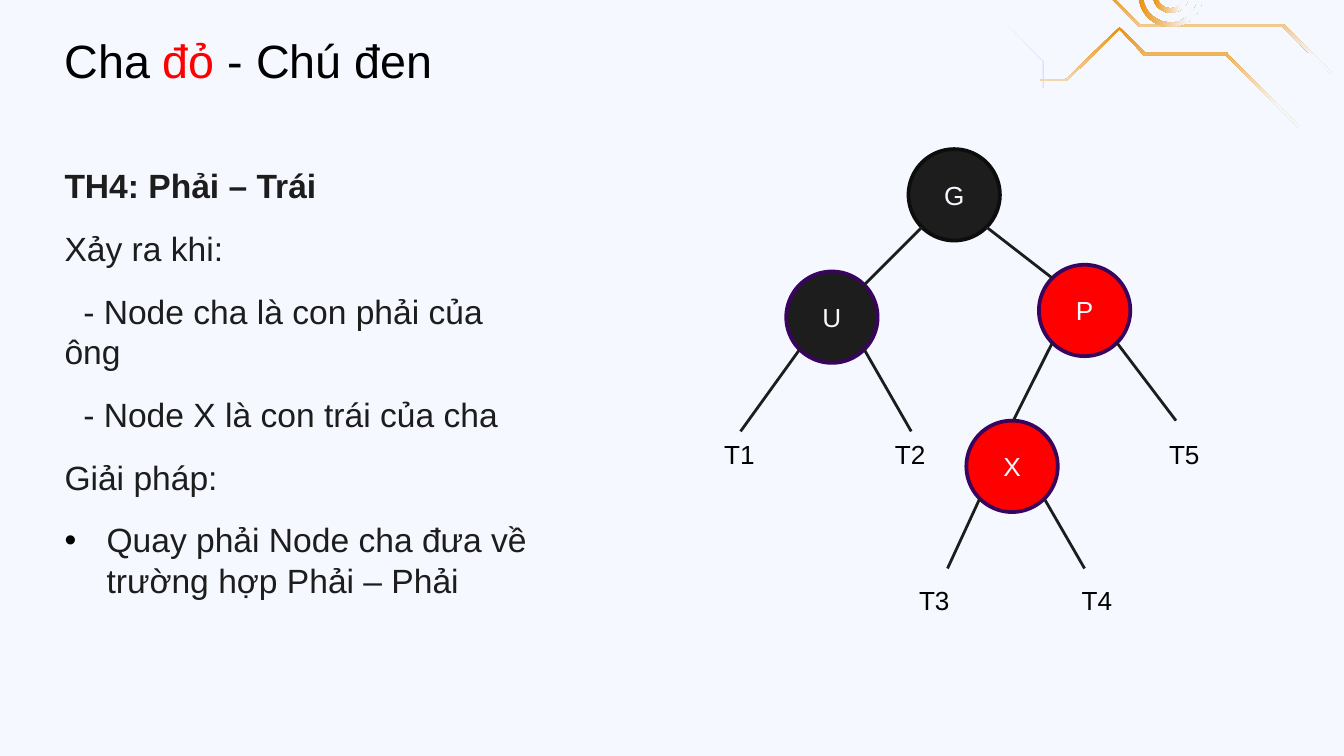
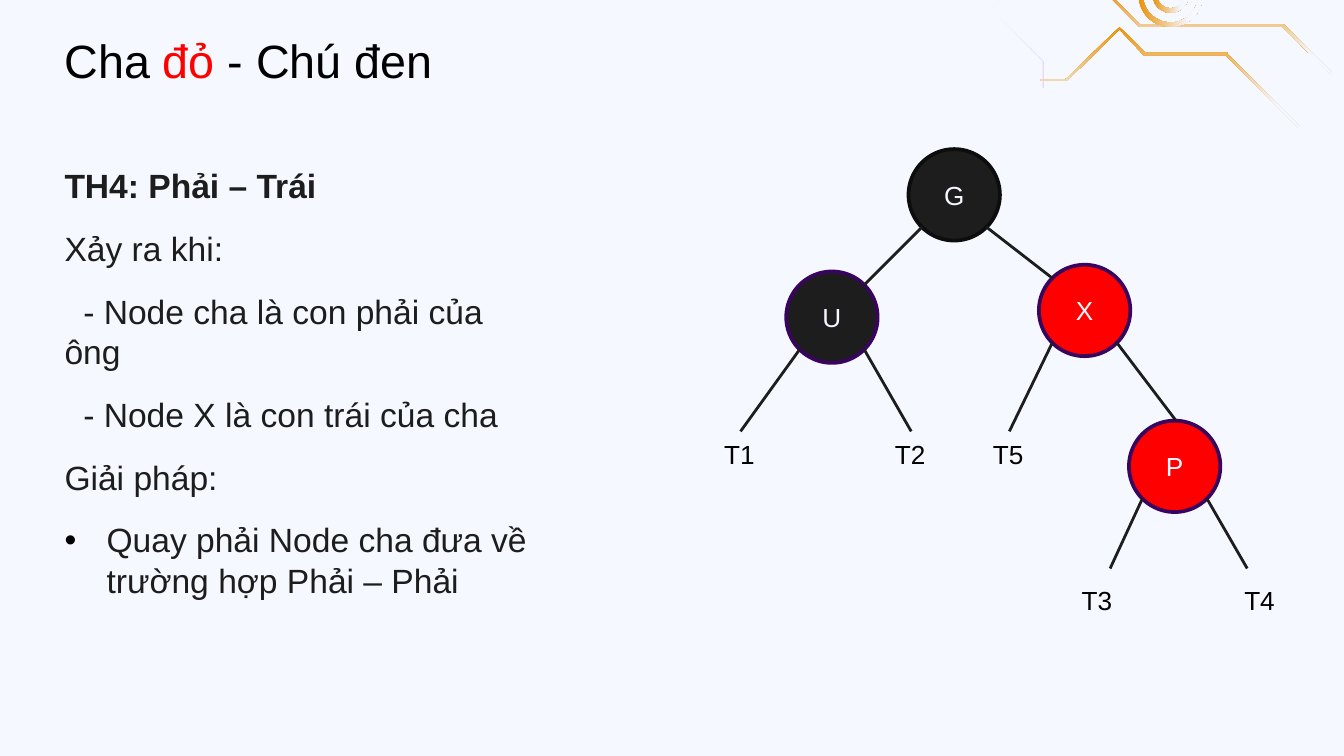
"""Build two slides on the right-left case of a red-black tree insertion."""
import pptx
import pptx.util
import pptx.dml.color
import pptx.enum.shapes
import pptx.enum.text
import pptx.oxml.ns
import lxml.etree

INK, NIGHT, RED, PAPER = "000000", "1D1D1D", "FF0000", "F5F8FF"
PLUM, ORANGE, VIOLET, WHITE = "39045D", "EB9109", "9900FF", "FFFFFF"
qn = pptx.oxml.ns.qn
MSO_SHAPE = pptx.enum.shapes.MSO_SHAPE
PP_ALIGN = pptx.enum.text.PP_ALIGN
ANCHOR = pptx.enum.text.MSO_ANCHOR


def color(hex_code):
    """Turn a hex string into a colour."""
    return pptx.dml.color.RGBColor.from_string(hex_code)


def style_text(para, size, hex_code, bold=False):
    """Format every run of a paragraph."""
    for span in para.runs:
        span.font.name = "Arial"
        span.font.size = pptx.util.Pt(size)
        span.font.bold = bold
        span.font.color.rgb = color(hex_code)


deck = pptx.Presentation()
deck.slide_width = pptx.util.Inches(10)
deck.slide_height = deck.slide_width * 9 // 16
cell = deck.slide_width // 100

background = deck.slide_master.background.fill
background.solid()
background.fore_color.rgb = color(PAPER)

layout = deck.slide_layouts[1]
title_slot, body_slot, *footer_slots = layout.placeholders
for slot in footer_slots:
    layout.shapes.element.remove(slot.element)
for slot, area in ((title_slot, (3.8, 1.9, 31.9, 5.2)), (body_slot, (3.8, 11.8, 37.6, 33.7))):
    slot.left, slot.top, slot.width, slot.height = [int(cell * side) for side in area]

pages = [deck.slides.add_slide(layout) for case in range(2)]

violet_traces = [
    [(770, -169), (735, -133), (734, -133), (734, -26), (708, 0), (708, 47),
     (710, 47), (710, 0), (736, -26), (736, -132), (771, -168)],
    [(810, -129), (756, -74), (755, -74), (755, -14), (736, 6), (775, 45), (775, 65),
     (776, 65), (776, 45), (738, 6), (757, -13), (757, -74), (811, -128)],
]
orange_traces = [
    [(991, 54), (955, 18), (848, 18), (822, -8), (775, -8),
     (775, -6), (822, -6), (848, 20), (954, 20), (990, 55)],
    [(967, 94), (913, 40), (913, 39), (852, 39), (833, 20), (793, 59), (774, 59),
     (774, 60), (794, 60), (833, 22), (851, 41), (912, 41), (966, 95)],
]
circuit = []
for trace in violet_traces + orange_traces:
    builder = pages[0].shapes.build_freeform(*trace[0], scale=cell / 10)
    builder.add_line_segments(trace[1:], close=True)
    tint, angle = (VIOLET, 180) if trace in violet_traces else (ORANGE, 270)
    circuit.append((builder.convert_to_shape(), tint, angle))
for diameter in (4.8, 2.7):
    ring = pages[0].shapes.add_shape(
        MSO_SHAPE.DONUT, int(cell * (87.1 - diameter / 2)), int(cell * (-0.4 - diameter / 2)),
        int(cell * diameter), int(cell * diameter))
    ring.adjustments[0] = 0.33 / diameter
    circuit.append((ring, ORANGE, 0))
for shape, tint, angle in circuit:
    shape.shadow.inherit = False
    shape.line.fill.background()
    shape.fill.gradient()
    shape.fill.gradient_angle = angle
    first, last = shape.fill.gradient_stops
    first.color.rgb = color(tint)
    last.color.rgb = color(WHITE if tint == VIOLET else PAPER)
    if tint == VIOLET:
        for paint, opacity in zip(shape.element.iter(qn("a:srgbClr")), ("47000", "0")):
            lxml.etree.SubElement(paint, qn("a:alpha")).set("val", opacity)
    else:
        last.position = 0.78
    layout.shapes.element.append(shape.element)

title_parts = [("Cha ", INK), ("đỏ", RED), (" - Chú đen", INK)]
body_lines = [
    ("TH4: Phải – Trái", 0, 0),
    ("Xảy ra khi:", 0, 0),
    ("- Node cha là con phải của ông", 0, 1.4),
    ("- Node X là con trái của cha", 0, 1.4),
    ("Giải pháp:", 0, 0),
    ("Quay phải Node cha đưa về trường hợp Phải – Phải", 3.13, -3.13),
]

radius, corner = 3.4, 2.4
top_x, top_y = 71, 14.5
uncle_x, uncle_y = 61.9, 23.6
right_x, right_y = 80.7, 23.1
lower_y, leaf_y, deep_y = 34.7, 32.1, 42.3
cases = [
    {"right": "P", "lower": "X", "lower_x": 75.3, "side": -1, "t5": (87.5, 31.3), "t5_label": 88.2},
    {"right": "X", "lower": "P", "lower_x": 87.4, "side": 1, "t5": (75.1, leaf_y), "t5_label": 75.1},
]

for page, case in zip(pages, cases):
    title, body = page.placeholders
    for box in (title, body):
        box.text_frame.word_wrap = True
        box.text_frame.vertical_anchor = ANCHOR.TOP
        box.text_frame.auto_size = pptx.enum.text.MSO_AUTO_SIZE.NONE

    para = title.text_frame.paragraphs[0]
    para.alignment = PP_ALIGN.LEFT
    for words, hex_code in title_parts:
        para.add_run().text = words
    style_text(para, 25, INK)
    for span, (words, hex_code) in zip(para.runs, title_parts):
        span.font.color.rgb = color(hex_code)

    body.text_frame.text = "\n".join(line[0] for line in body_lines)
    for row, (para, (words, margin, indent)) in enumerate(zip(body.text_frame.paragraphs, body_lines)):
        para.space_before = pptx.util.Pt(6 if row else 0)
        para.space_after = pptx.util.Pt(6)
        props = para._p.get_or_add_pPr()
        props.set("marL", str(int(cell * margin)))
        props.set("indent", str(int(cell * indent)))
        if margin:
            bullet_color = lxml.etree.SubElement(props, qn("a:buClr"))
            lxml.etree.SubElement(bullet_color, qn("a:srgbClr")).set("val", INK)
            lxml.etree.SubElement(props, qn("a:buChar")).set("char", "•")
        else:
            lxml.etree.SubElement(props, qn("a:buNone"))
        style_text(para, 18, NIGHT, bold=row == 0)

    lower_x, side = case["lower_x"], case["side"]
    nodes = [
        ("G", top_x, top_y, NIGHT, "0D0D0D"),
        (case["lower"], lower_x, lower_y, RED, PLUM),
        ("U", uncle_x, uncle_y, NIGHT, PLUM),
        (case["right"], right_x, right_y, RED, PLUM),
    ]
    for name, x, y, fill, outline in nodes:
        node = page.shapes.add_shape(
            MSO_SHAPE.OVAL, int(cell * (x - radius)), int(cell * (y - radius)),
            int(cell * radius * 2), int(cell * radius * 2))
        node.shadow.inherit = False
        node.fill.solid()
        node.fill.fore_color.rgb = color(fill)
        node.line.color.rgb = color(outline)
        node.line.width = pptx.util.Pt(2)
        node.text_frame.text = name
        node.text_frame.vertical_anchor = ANCHOR.MIDDLE
        node.text_frame.paragraphs[0].alignment = PP_ALIGN.CENTER
        style_text(node.text_frame.paragraphs[0], 14, PAPER)

    edges = [
        (lower_x, lower_y, 1, lower_x + 5.4, deep_y),
        (top_x, top_y, -1, uncle_x + corner, uncle_y - corner),
        (top_x, top_y, 1, right_x - corner, right_y - corner),
        (lower_x, lower_y, -1, lower_x - 4.8, deep_y),
        (uncle_x, uncle_y, -1, 55.1, leaf_y),
        (uncle_x, uncle_y, 1, 67.8, leaf_y),
        (right_x, right_y, side, lower_x + 0.1, lower_y - radius),
        (right_x, right_y, -side, *case["t5"]),
    ]
    for x, y, direction, end_x, end_y in edges:
        edge = page.shapes.add_connector(
            pptx.enum.shapes.MSO_CONNECTOR.STRAIGHT, int(cell * (x + direction * corner)),
            int(cell * (y + corner)), int(cell * end_x), int(cell * end_y))
        edge.line.color.rgb = color(NIGHT)
        edge.line.width = pptx.util.Pt(1.5)
        lxml.etree.SubElement(edge.element.spPr, qn("a:effectLst"))

    labels = [
        ("T4", lower_x + 6.4, 43), ("T3", lower_x - 5.7, 43), ("T5", case["t5_label"], leaf_y),
        ("T2", 67.8, leaf_y), ("T1", 55.1, leaf_y),
    ]
    for name, x, y in labels:
        box = page.shapes.add_textbox(
            int(cell * (x - 2.2)), int(cell * y), int(cell * 4.4), int(cell * 3.4))
        box.text_frame.text = name
        style_text(box.text_frame.paragraphs[0], 14, INK)

deck.save("out.pptx")
